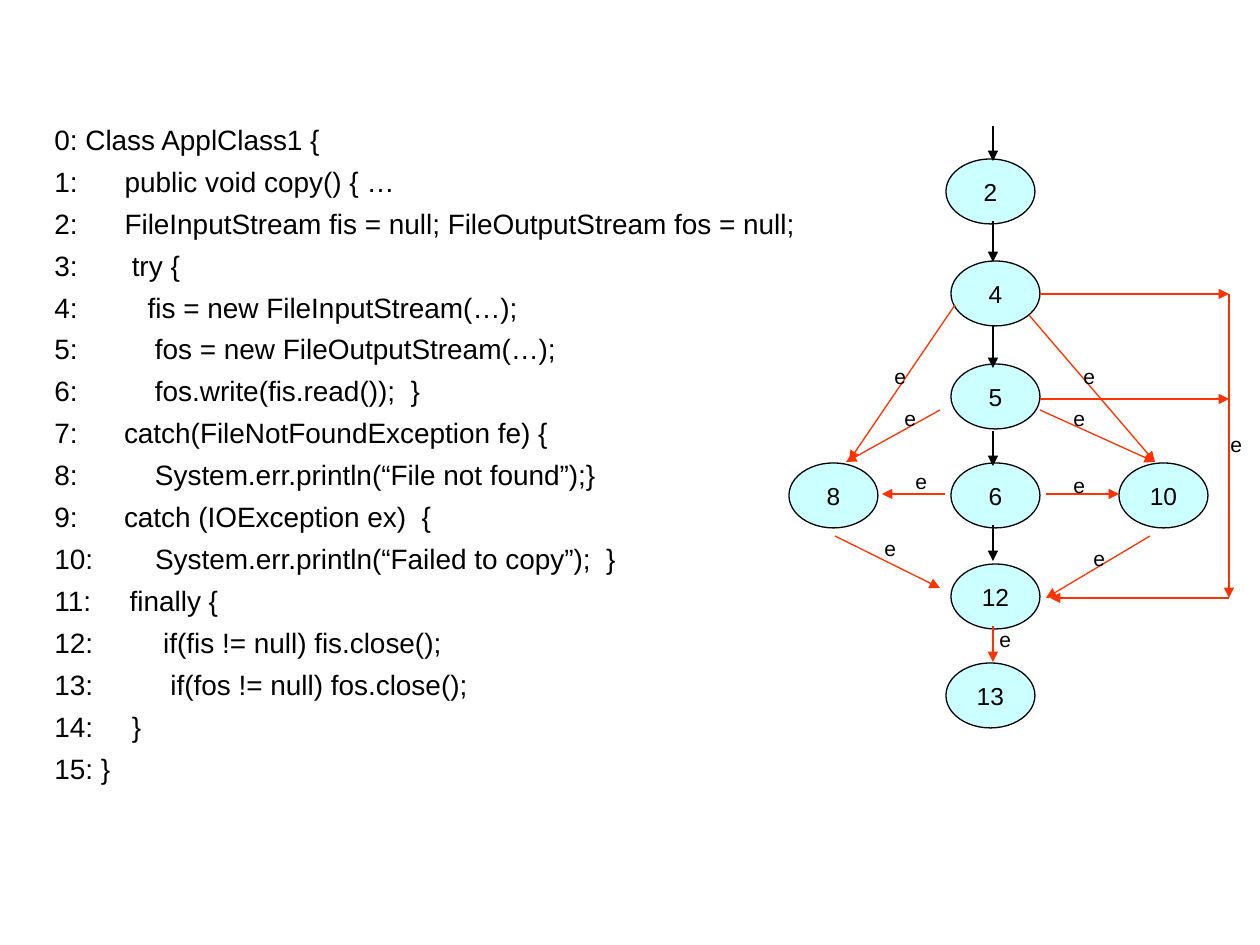
from dataclasses import dataclass

from lxml import etree
from pptx import Presentation
from pptx import util as u
from pptx.dml.color import RGBColor
from pptx.enum import shapes, text
from pptx.oxml import ns

PX = 914400 / 126  # EMU per px
SLIDE_W, SLIDE_H = 1260, 945


@dataclass
class Theme:
    font: str = "Arial"
    ink: RGBColor = RGBColor(0x00, 0x00, 0x00)
    node_fill: RGBColor = RGBColor(0xCC, 0xFF, 0xFF)
    exception: RGBColor = RGBColor(0xFF, 0x33, 0x00)
    code_pt: int = 16
    node_pt: int = 14
    label_pt: int = 12
    line_pt: float = 0.75


theme = Theme()


def px(*lengths):
    return [u.Emu(round(length * PX)) for length in lengths]


def write(frame, lines, size, align=text.PP_ALIGN.LEFT,
          anchor=text.MSO_ANCHOR.TOP, wrap=True, hanging=0, gap=0):
    frame.word_wrap = wrap
    frame.vertical_anchor = anchor
    for i, line in enumerate(lines):
        paragraph = frame.paragraphs[0] if i == 0 else frame.add_paragraph()
        paragraph.alignment = align
        paragraph.space_before = u.Pt(gap if i else 0)
        if hanging:
            indent = px(hanging)[0]
            paragraph._p.get_or_add_pPr().set("marL", str(indent))
            paragraph._p.get_or_add_pPr().set("indent", str(-indent))
        run = paragraph.add_run()
        run.text = line
        run.font.name = theme.font
        run.font.size = u.Pt(size)
        run.font.color.rgb = theme.ink


prs = Presentation()
prs.slide_width, prs.slide_height = px(SLIDE_W, SLIDE_H)
slide = prs.slides.add_slide(prs.slide_layouts[6])

# Code listing
code = [
    "0: Class ApplClass1 {",
    "1:\t   public void copy() { …",
    "2:\t   FileInputStream fis = null; FileOutputStream fos = null;",
    "3:       try {",
    "4:\t      fis = new FileInputStream(…);",
    "5:          fos = new FileOutputStream(…);",
    "6:          fos.write(fis.read());  }",
    "7:      catch(FileNotFoundException fe) {",
    "8:          System.err.println(“File not found”);}",
    "9:      catch (IOException ex)  {",
    "10:        System.err.println(“Failed to copy”);  }",
    "11:     finally {",
    "12:\t        if(fis != null) fis.close();",
    "13:          if(fos != null) fos.close();",
    "14:     }",
    "15: }",
]
listing = slide.shapes.add_textbox(*px(42, 116, 819, 735))
write(listing.text_frame, code, theme.code_pt, hanging=47, gap=4.8)

# Flow graph nodes, named by line number: left, top
NODE_W, NODE_H = 89, 65
nodes = {
    "2": (946, 159), "4": (951, 261), "5": (951, 364), "6": (951, 463),
    "12": (951, 564), "13": (946, 663), "8": (789, 463), "10": (1119, 463),
}
for number, (left, top) in nodes.items():
    node = slide.shapes.add_shape(shapes.MSO_SHAPE.OVAL,
                                  *px(left, top, NODE_W, NODE_H))
    node.shadow.inherit = False
    node.fill.solid()
    node.fill.fore_color.rgb = theme.node_fill
    node.line.color.rgb = theme.ink
    node.line.width = u.Pt(theme.line_pt)
    write(node.text_frame, [number], theme.node_pt, wrap=False,
          align=text.PP_ALIGN.CENTER, anchor=text.MSO_ANCHOR.MIDDLE)

# Arrows: normal flow runs down the spine, exceptions branch off
SPINE, BUS = 993, 1229
normal_flow = [(SPINE, start, SPINE, end) for start, end in
               [(126, 161), (221, 262), (325, 368), (431, 466), (525, 561)]]
exception_flow = [
    (955, 305, 849, 461),     # 4 to 8
    (1029, 315, 1155, 462),   # 4 to 10
    (940, 410, 846, 462),     # 5 to 8
    (1040, 410, 1155, 462),   # 5 to 10
    (945, 494, 882, 494),     # 6 to 8
    (1046, 494, 1119, 494),   # 6 to 10
    (835, 536, 940, 588),     # 8 to 12
    (1150, 536, 1046, 598),   # 10 to 12
    (SPINE, 626, SPINE, 662),  # 12 to 13
    (1040, 294, BUS, 294),    # 4 to the outer path
    (1040, 399, BUS, 399),    # 5 to the outer path
    (BUS, 294, BUS, 598),     # outer path
    (BUS, 598, 1050, 598),    # outer path to 12
]
for color, arrows in [(theme.ink, normal_flow),
                      (theme.exception, exception_flow)]:
    for ends in arrows:
        arrow = slide.shapes.add_connector(shapes.MSO_CONNECTOR.STRAIGHT,
                                           *px(*ends))
        arrow.line.color.rgb = color
        arrow.line.width = u.Pt(theme.line_pt)
        etree.SubElement(arrow.line._get_or_add_ln(), ns.qn("a:tailEnd"),
                         type="triangle")
        etree.SubElement(arrow._element.spPr, ns.qn("a:effectLst"))

# Exception labels: left, top
for left, top in [(1071, 357), (1061, 399), (1061, 466), (1081, 539),
                  (987, 620), (872, 529), (903, 462), (892, 399),
                  (882, 357), (1218, 425)]:
    width = min(53, SLIDE_W - left)
    label = slide.shapes.add_textbox(*px(left, top, width, 38))
    write(label.text_frame, ["e"], theme.label_pt)

prs.save("out.pptx")
